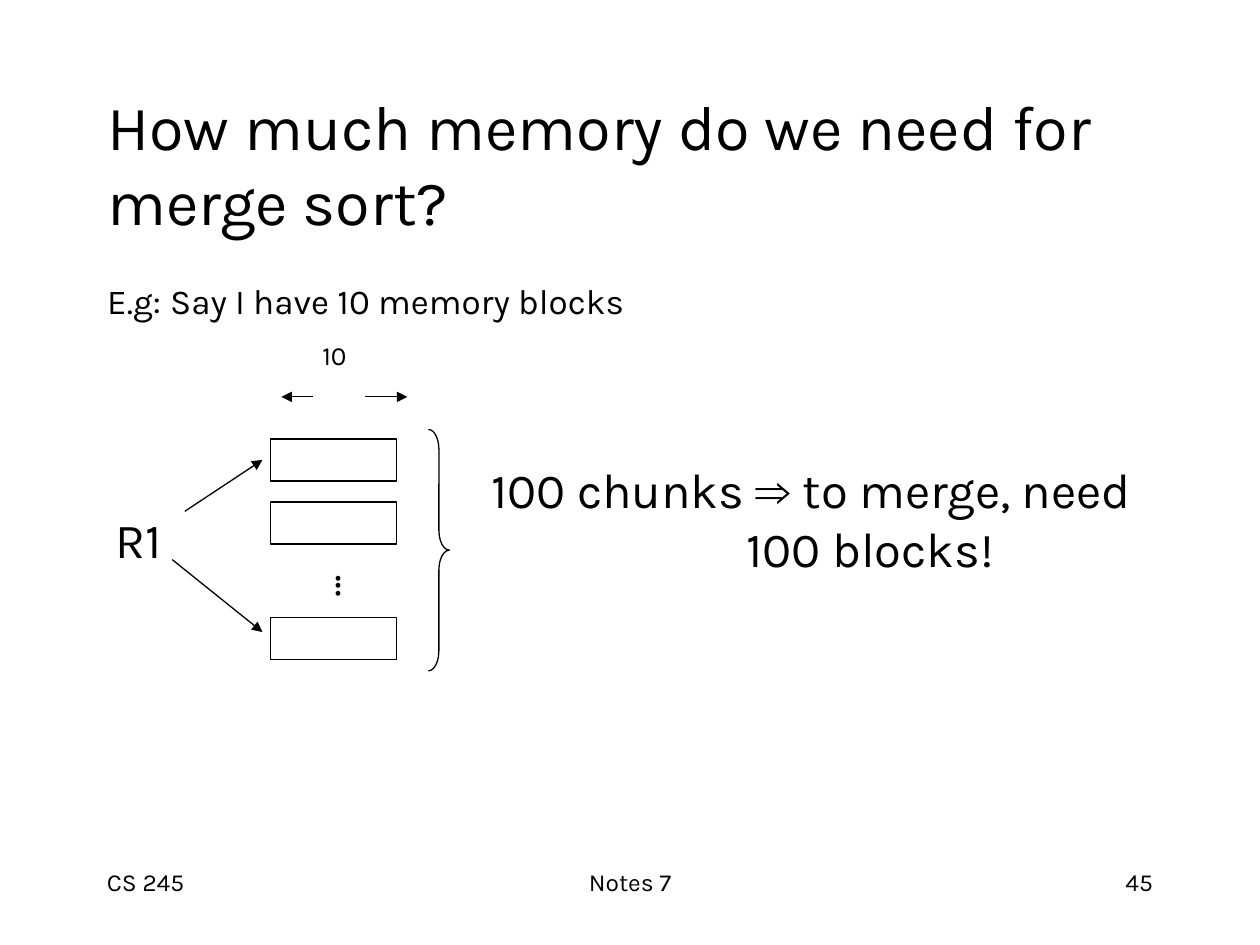
import pptx
import pptx.util
import pptx.dml.color
import pptx.enum.shapes
import pptx.enum.text
import pptx.oxml.ns
import lxml.etree

Pt, Inches = pptx.util.Pt, pptx.util.Inches
SHAPE = pptx.enum.shapes.MSO_SHAPE
ALIGN = pptx.enum.text.PP_ALIGN
ANCHOR = pptx.enum.text.MSO_ANCHOR


def rgb(value):
    return pptx.dml.color.RGBColor.from_string(value)


def add_xml(parent, tag, **attrs):
    return lxml.etree.SubElement(parent, pptx.oxml.ns.qn(tag), attrs)


class Deck:
    """Style and current slide; lengths are cells of a 120 x 90 grid."""
    COLS, ROWS = 120, 90
    FONT, INK, PAPER, LINE = "Karla", "000000", "FFFFFF", 0.75

    def __init__(self):
        self.prs = pptx.Presentation()
        self.prs.slide_width, self.prs.slide_height = Inches(10), Inches(7.5)
        self.s = self.prs.slides.add_slide(self.prs.slide_layouts[1])

    def x(self, cols):
        return int(self.prs.slide_width * cols / self.COLS)

    def y(self, rows):
        return int(self.prs.slide_height * rows / self.ROWS)

    def box(self, x, y, w, h):
        return self.x(x), self.y(y), self.x(w), self.y(h)

    def frame(self, sp, anchor):
        tf = sp.text_frame
        tf.word_wrap = True
        tf.auto_size = pptx.enum.text.MSO_AUTO_SIZE.NONE
        tf.vertical_anchor = anchor
        return tf

    def para(self, tf, runs, size, first=True, align=ALIGN.LEFT,
             before=0, indent=0, tab=None):
        p = tf.paragraphs[0] if first else tf.add_paragraph()
        pPr = p._p.get_or_add_pPr()
        pPr.set("marL", str(self.x(indent)))
        pPr.set("indent", "0")
        add_xml(pPr, "a:buNone")
        if tab:
            tabs = add_xml(pPr, "a:tabLst")
            add_xml(tabs, "a:tab", pos=str(self.x(tab)), algn="l")
        p.alignment = align
        p.space_before = Pt(before)
        for text, font in runs:
            r = p.add_run()
            r.text = text
            r.font.name = font or self.FONT
            r.font.size = Pt(size)
            r.font.color.rgb = rgb(self.INK)

    def placeholder(self, idx, at, anchor):
        sp = self.s.placeholders[idx]
        sp.left, sp.top, sp.width, sp.height = self.box(*at)
        return self.frame(sp, anchor)

    def textbox(self, at, anchor=ANCHOR.MIDDLE, rotation=0):
        sp = self.s.shapes.add_textbox(*self.box(*at))
        sp.rotation = rotation
        return self.frame(sp, anchor)

    def label(self, text, at, size, align=ALIGN.CENTER, **box):
        self.para(self.textbox(at, **box), [(text, None)], size, align=align)

    def shape(self, kind, at, fill=None):
        sp = self.s.shapes.add_shape(kind, *self.box(*at))
        sp.shadow.inherit = False
        if fill:
            sp.fill.solid()
            sp.fill.fore_color.rgb = rgb(fill)
        else:
            sp.fill.background()
        sp.line.color.rgb = rgb(self.INK)
        sp.line.width = Pt(self.LINE)
        return sp

    def arrow(self, x1, y1, x2, y2):
        c = self.s.shapes.add_connector(
            pptx.enum.shapes.MSO_CONNECTOR.STRAIGHT,
            self.x(x1), self.y(y1), self.x(x2), self.y(y2))
        c.line.color.rgb = rgb(self.INK)
        c.line.width = Pt(self.LINE)
        add_xml(c.line._get_or_add_ln(), "a:tailEnd", type="triangle")
        add_xml(c._element.spPr, "a:effectLst")


def main():
    d = Deck()

    # Title and example
    tf = d.placeholder(0, (9, 8, 102, 15), ANCHOR.MIDDLE)
    d.para(tf, [("How much memory do we need for merge sort?", None)], 36)
    tf = d.placeholder(1, (9, 26, 98, 15.6), ANCHOR.TOP)
    d.para(tf, [("E.g:\tSay I have 10 memory blocks", None)], 20, tab=7.5)
    d.para(tf, [("10", None)], 15, first=False, before=10, indent=20.5)

    # Memory blocks, their width and the brace around them
    for row in (41.8, 47.8, 58.8):
        d.shape(SHAPE.RECTANGLE, (25.8, row, 12, 4), d.PAPER)
    d.arrow(29.8, 37.8, 26.8, 37.8)
    d.arrow(34.8, 37.8, 38.8, 37.8)
    d.label("...", (28, 52.8, 5.6, 6), 24, rotation=270)
    brace = d.shape(SHAPE.RIGHT_BRACE, (40.8, 40.9, 2, 23))
    brace.adjustments[0] = 0.95

    # Relation and arrows to the first and last block
    d.label("R1", (9.2, 47.9, 8, 6.8), 28)
    d.arrow(17.6, 48.7, 25, 43.8)
    d.arrow(16.4, 53.3, 25, 60.2)

    # Conclusion
    tf = d.textbox((45.6, 43.1, 66.8, 12.5))
    d.para(tf, [("100 chunks ", None), ("⇒", "Arial"),
                (" to merge, need", None)], 28)
    d.para(tf, [("100 blocks!", None)], 28, first=False, indent=24.3)

    # Footer
    for text, x, w, align in (("CS 245", 9, 25, ALIGN.LEFT),
                              ("Notes 7", 41, 38, ALIGN.CENTER),
                              ("45", 86, 25, ALIGN.RIGHT)):
        d.label(text, (x, 82, w, 6), 14, align, anchor=ANCHOR.TOP)

    d.prs.save("out.pptx")


if __name__ == "__main__":
    main()
